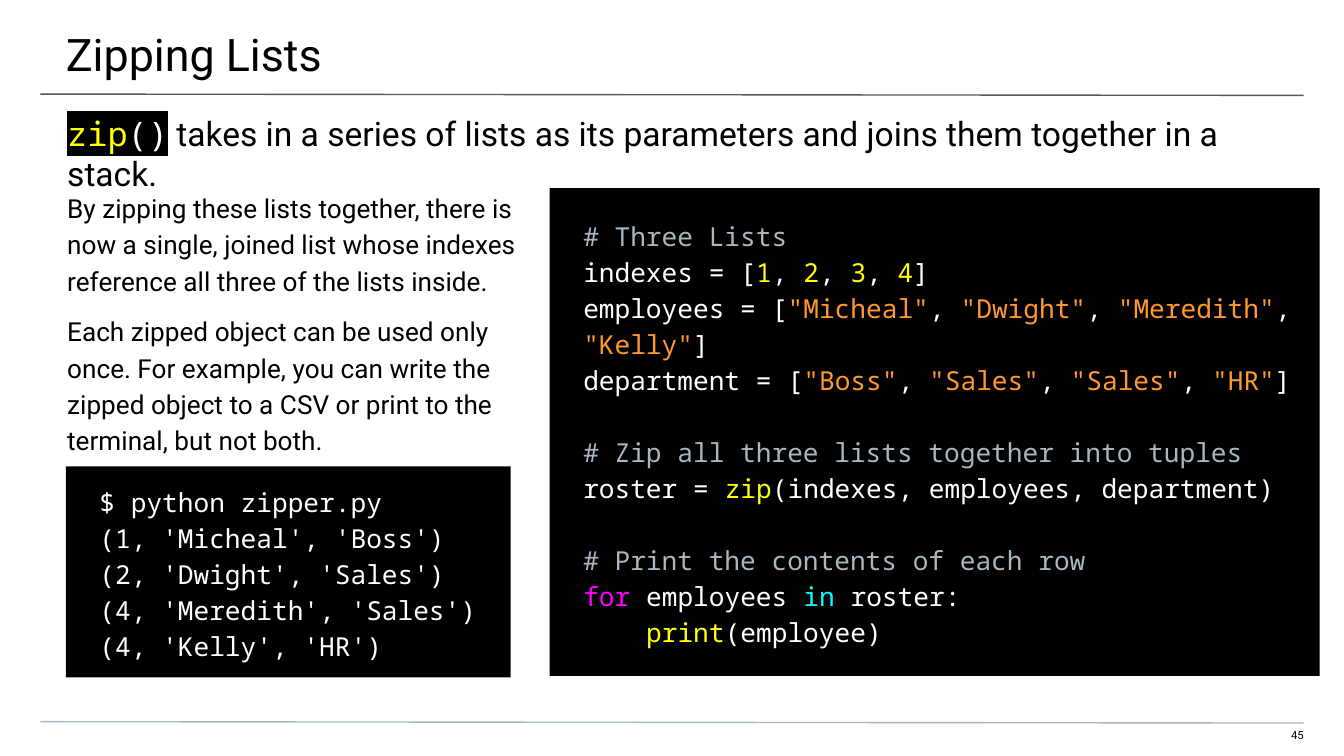
from lxml import etree
from pptx import Presentation
from pptx.dml.color import RGBColor
from pptx.enum import shapes, text
from pptx.oxml.ns import qn
from pptx.util import Inches, Pt

THEME = {
    "sans": "Roboto", "mono": "Noto Sans Mono",
    "black": "000000", "white": "FFFFFF", "gray": "A9B7C0", "rule": "595959",
    "yellow": "FFFF00", "orange": "FF992D", "pink": "FF00FF", "cyan": "00FFFF",
    "title": 24, "lead": 18, "body": 14, "page": 6,
}


def listing(name, items, tint):
    """Colour one line of code that assigns a list."""
    runs = [(f"{name} = [", "white")]
    for i, item in enumerate(items):
        if i:
            runs.append((", ", "white"))
        runs.append((item, tint))
    return runs + [("]", "white")]


# Content: a paragraph is a list of runs (text, colour, font, highlight)
TITLE = "Zipping Lists"
LEAD = [
    ("zip", "yellow", "mono", "black"),
    ("()", "white", "mono", "black"),
    (" takes in a series of lists as its parameters and joins them together in a stack.",
     "black"),
]
NOTES = [
    "By zipping these lists together, there is now a single, joined list "
    "whose indexes reference all three of the lists inside.",
    "Each zipped object can be used only once. For example, you can write the "
    "zipped object to a CSV or print to the terminal, but not both.",
]
CODE = [
    [[("# Three Lists", "gray")],
     listing("indexes", ["1", "2", "3", "4"], "yellow"),
     listing("employees", ['"Micheal"', '"Dwight"', '"Meredith"', '"Kelly"'], "orange"),
     listing("department", ['"Boss"', '"Sales"', '"Sales"', '"HR"'], "orange")],
    [[("# Zip all three lists together into tuples", "gray")],
     [("roster = ", "white"), ("zip", "yellow"),
      ("(indexes, employees, department)", "white")]],
    [[("# Print the contents of each row", "gray")],
     [("for", "pink"), (" employees", "white"), (" in", "cyan"), (" roster:", "white")],
     [("    ", "pink"), ("print", "yellow"), ("(employee)", "white")]],
]
OUTPUT = [
    "$ python zipper.py",
    "(1, 'Micheal', 'Boss')",
    "(2, 'Dwight', 'Sales')",
    "(4, 'Meredith', 'Sales')",
    "(4, 'Kelly', 'HR')",
]
PAGE = "45"


def color(name):
    return RGBColor.from_string(THEME[name])


def write(shape, paras, size="body", font="sans", tint="black", pad=(0, 0, 0, 0),
          align="LEFT", anchor="TOP", pitch=1.0, gaps=None):
    """Fill a shape with text; gaps maps a paragraph index to its space before."""
    frame = shape.text_frame
    frame.word_wrap = True
    frame.auto_size = text.MSO_AUTO_SIZE.NONE
    frame.vertical_anchor = getattr(text.MSO_ANCHOR, anchor)
    for side, inset in zip(("left", "top", "right", "bottom"), pad):
        setattr(frame, f"margin_{side}", Inches(inset))
    for i, runs in enumerate(paras):
        para = frame.add_paragraph() if i else frame.paragraphs[0]
        para.alignment = getattr(text.PP_ALIGN, align)
        para.line_spacing = pitch
        para.space_before = Pt((gaps or {}).get(i, 0))
        for part in [(runs,)] if isinstance(runs, str) else runs:
            words, hue, face, mark = part + (None,) * (4 - len(part))
            run = para.add_run()
            run.text = words
            run.font.size = Pt(THEME[size])
            run.font.color.rgb = color(hue or tint)
            if mark:
                props = run.font._element
                light = etree.SubElement(props, qn("a:highlight"))
                etree.SubElement(light, qn("a:srgbClr"), val=THEME[mark])
            run.font.name = THEME[face or font]


def area(*box):
    return [Inches(n) for n in box]


def label(slide, box, paras, **style):
    write(slide.shapes.add_textbox(*area(*box)), paras, **style)


def panel(slide, box, paras, **style):
    shape = slide.shapes.add_shape(shapes.MSO_SHAPE.RECTANGLE, *area(*box))
    shape.shadow.inherit = False
    shape.fill.solid()
    shape.fill.fore_color.rgb = color("black")
    shape.line.fill.background()
    write(shape, paras, font="mono", tint="white", pad=(0.25, 0.1, 0.1, 0.1),
          anchor="MIDDLE", pitch=1.15, **style)


def rule(slide, top, tint):
    line = slide.shapes.add_connector(
        shapes.MSO_CONNECTOR.STRAIGHT, *area(0.3, top, 9.7, top + 0.01))
    line.line.color.rgb = color(tint)
    line.line.width = Pt(0.75)
    etree.SubElement(line._element.spPr, qn("a:effectLst"))


def main():
    # Widescreen, 16:9
    deck = Presentation()
    deck.slide_width, deck.slide_height = area(10, 10 * 9 / 16)
    slide = deck.slides.add_slide(deck.slide_layouts[5])

    # Page furniture
    label(slide, (9.41, 5.42, 0.29, 0.12), [PAGE], size="page", align="RIGHT",
          pad=(0, 0, 0, 0.1))
    rule(slide, 0.7, "rule")
    rule(slide, 5.37, "gray")

    # Title and lead sentence
    head = slide.shapes.title
    head.left, head.top, head.width, head.height = area(-0.01, 0, 10.03, 0.58)
    write(head, [TITLE], size="title", pad=(0.5, 0.2, 0.3, 0.1))
    label(slide, (0, 0.74, 10.28, 0.4), [LEAD], size="lead", pad=(0.5, 0.1, 0.5, 0))

    # Explanation
    label(slide, (0, 1.4, 4.48, 1.91), NOTES, pad=(0.5, 0, 0.5, 1),
          pitch=1.15, gaps={1: 8})

    # Code: each block after the first starts one line lower
    lines, gaps = [], {}
    for block in CODE:
        if lines:
            gaps[len(lines)] = 19.3
        lines += block
    panel(slide, (4.09, 1.4, 5.73, 3.63), lines, gaps=gaps)

    # Terminal output
    panel(slide, (0.49, 3.47, 3.31, 1.57), OUTPUT)

    deck.save("out.pptx")


if __name__ == "__main__":
    main()
